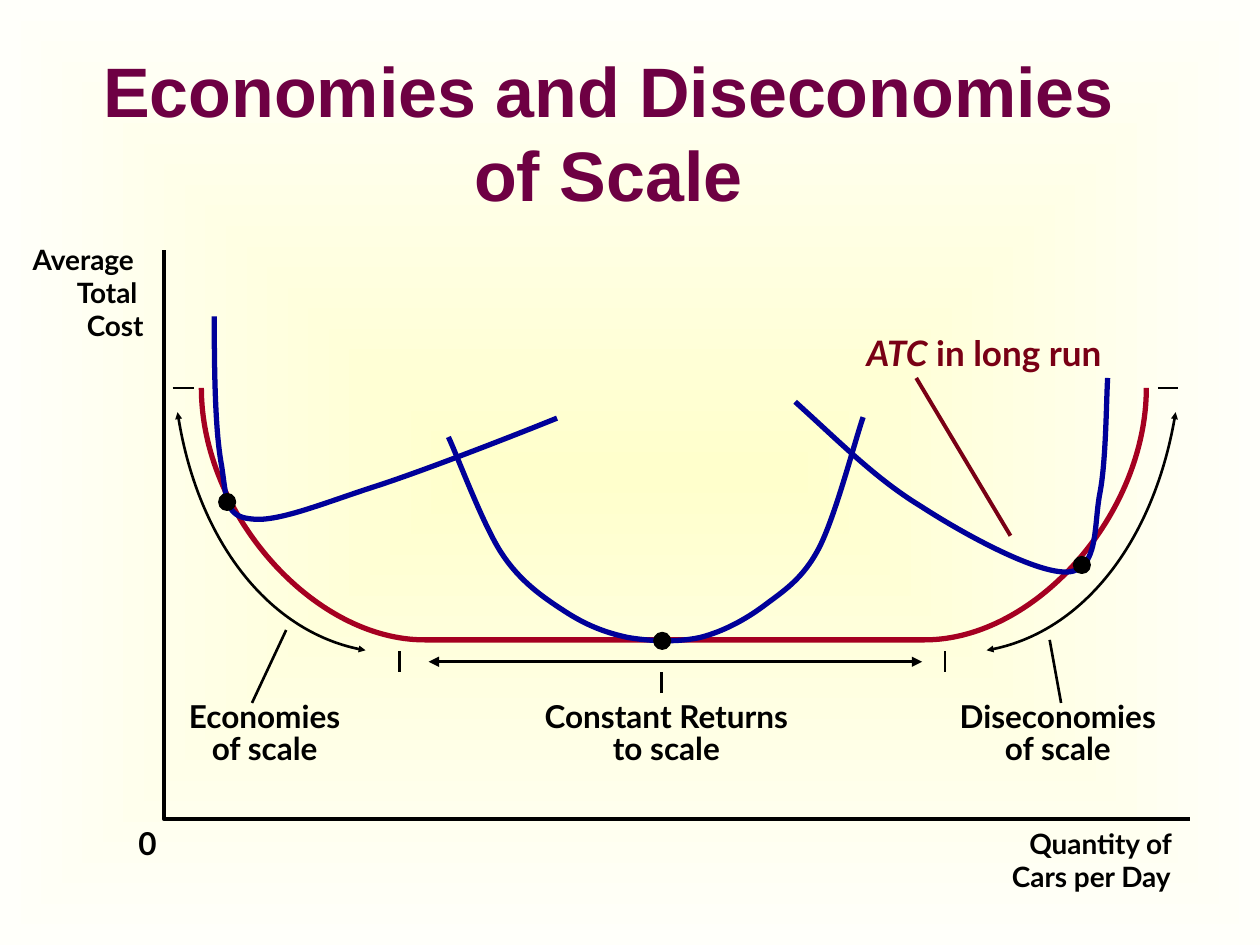
from pptx import Presentation
from pptx.dml.color import RGBColor
from pptx.enum.shapes import MSO_CONNECTOR, MSO_SHAPE
from pptx.enum.text import MSO_ANCHOR, MSO_AUTO_SIZE, PP_ALIGN
from pptx.oxml.ns import qn
from pptx.oxml.xmlchemy import OxmlElement
from pptx.util import Cm, Pt

STRAIGHT = MSO_CONNECTOR.STRAIGHT
OVAL = MSO_SHAPE.OVAL
TOP, MIDDLE = MSO_ANCHOR.TOP, MSO_ANCHOR.MIDDLE
LEFT, CENTER = PP_ALIGN.LEFT, PP_ALIGN.CENTER
GROW, FIXED = MSO_AUTO_SIZE.SHAPE_TO_FIT_TEXT, MSO_AUTO_SIZE.NONE

BLACK = RGBColor(0x00, 0x00, 0x00)
PLUM = RGBColor(0x6E, 0x00, 0x43)
MAROON = RGBColor(0x79, 0x00, 0x15)
RED = RGBColor(0xA5, 0x00, 0x21)
BLUE = RGBColor(0x00, 0x00, 0x99)
YELLOW = RGBColor(0xFF, 0xFF, 0xCC)
IVORY = RGBColor(0xFF, 0xFF, 0xFA)

LONG_RUN = [
    (4.06, 7.82), (4.06, 10.36), (6.32, 12.9), (8.56, 12.9),
    (11.92, 12.9), (15.28, 12.9), (18.64, 12.9),
    (20.88, 12.9), (23.11, 10.36), (23.11, 7.82),
]
SHORT_RUN_SMALL = [
    (4.32, 6.38), (4.32, 7.57), (4.34, 8.71), (4.47, 9.4),
    (4.57, 10.08), (4.55, 10.41), (5.05, 10.46),
    (5.56, 10.54), (6.48, 10.16), (7.49, 9.83),
    (8.53, 9.5), (10.54, 8.71), (11.23, 8.43),
]
SHORT_RUN_MEDIUM = [
    (9.04, 8.81), (9.22, 9.19), (9.73, 10.57), (10.11, 11.15),
    (10.49, 11.73), (10.95, 12.04), (11.38, 12.32),
    (11.81, 12.6), (12.19, 12.75), (12.65, 12.85),
    (13.11, 12.93), (13.67, 12.95), (14.12, 12.85),
    (14.58, 12.73), (15.01, 12.5), (15.39, 12.22),
    (15.8, 11.91), (16.18, 11.68), (16.51, 11.05),
    (16.84, 10.41), (17.22, 8.94), (17.4, 8.41),
]
SHORT_RUN_LARGE = [
    (16.03, 8.1), (16.94, 8.92), (17.65, 9.65), (18.57, 10.21),
    (19.48, 10.8), (20.93, 11.58), (21.54, 11.53),
    (22.15, 11.48), (22.05, 10.59), (22.17, 9.96),
    (22.3, 9.3), (22.3, 8.1), (22.33, 7.62),
]
ECONOMIES_SPAN = [(7.37, 13.11), (5.49, 12.8), (3.96, 10.87), (3.58, 8.31)]
DISECONOMIES_SPAN = [(19.89, 13.11), (21.77, 12.8), (23.29, 10.87), (23.7, 8.31)]


def add_background(s):
    fill = s.background.fill
    fill.gradient()
    for stop, color in zip(fill.gradient_stops, (YELLOW, IVORY)):
        stop.color.rgb = color
    grad = s.element.find(".//" + qn("a:gradFill"))
    path = OxmlElement("a:path")
    path.set("path", "rect")
    center = OxmlElement("a:fillToRect")
    for side in "ltrb":
        center.set(side, "50000")
    path.append(center)
    grad.replace(grad.find(qn("a:lin")), path)


def add_text(s, text, x, y, w, h, *, size=16, font="Lato", color=BLACK, align=LEFT,
             anchor=TOP, margins=(0, 0), wrap=False, grow=True, spacing=None, italic=""):
    tf = s.shapes.add_textbox(Cm(x), Cm(y), Cm(w), Cm(h)).text_frame
    tf.word_wrap = wrap
    tf.auto_size = GROW if grow else FIXED
    tf.vertical_anchor = anchor
    tf.margin_left = tf.margin_right = Cm(margins[0])
    tf.margin_top = tf.margin_bottom = Cm(margins[1])
    for i, line in enumerate(text.split("\n")):
        p = tf.add_paragraph() if i else tf.paragraphs[0]
        p.alignment = align
        p.line_spacing = spacing
        for part, slanted in ((italic, True), (line, False)):
            if part:
                r = p.add_run()
                r.text = part
                r.font.name = font
                r.font.size = Pt(size)
                r.font.bold = True
                r.font.italic = slanted
                r.font.color.rgb = color


def set_line(sp, color, width, heads=None):
    sp.line.color.rgb = color
    sp.line.width = Pt(width)
    if heads:
        for tag in ("a:headEnd", "a:tailEnd"):
            end = OxmlElement(tag)
            end.set("type", "triangle")
            end.set("w", heads)
            end.set("len", heads)
            sp.line._get_or_add_ln().append(end)


def add_line(s, x1, y1, x2, y2, *, color=BLACK, width=1.5, heads=None):
    sp = s.shapes.add_connector(STRAIGHT, Cm(x1), Cm(y1), Cm(x2), Cm(y2))
    set_line(sp, color, width, heads)
    sp._element.spPr.append(OxmlElement("a:effectLst"))


def add_path(s, points, *, color=BLACK, width=1.5, heads=None, curved=True):
    pts = [(Cm(x), Cm(y)) for x, y in points]
    builder = s.shapes.build_freeform(*pts[0])
    builder.add_line_segments(pts[1:], close=False)
    sp = builder.convert_to_shape()
    sp.shadow.inherit = False
    sp.fill.background()
    set_line(sp, color, width, heads)
    if curved:
        path = sp._element.find(".//" + qn("a:path"))
        steps = path.findall(qn("a:lnTo"))
        for i in range(0, len(steps), 3):
            bezier = OxmlElement("a:cubicBezTo")
            for step in steps[i:i + 3]:
                bezier.append(step[0])
                path.remove(step)
            path.append(bezier)


def add_dot(s, x, y, size=0.33):
    sp = s.shapes.add_shape(OVAL, Cm(x - size / 2), Cm(y - size / 2), Cm(size), Cm(size))
    sp.shadow.inherit = False
    sp.fill.solid()
    sp.fill.fore_color.rgb = BLACK
    set_line(sp, BLACK, 1)


def main():
    prs = Presentation()
    prs.slide_width, prs.slide_height = Cm(25.4), Cm(19.05)
    s = prs.slides.add_slide(prs.slide_layouts[6])
    add_background(s)
    add_text(s, "Economies and Diseconomies of Scale", 1.47, 1.07, 21.59, 3.18,
             size=40, font="Arial", color=PLUM, align=CENTER, anchor=MIDDLE,
             margins=(0.25, 0.13), wrap=True, grow=False)

    for text, x, y, w in (
        ("Average", 0.66, 4.9, 2.34), ("Total", 1.55, 5.56, 1.42), ("Cost", 1.75, 6.22, 1.24),
        ("Quantity of", 20.75, 16.66, 3.23), ("Cars per Day", 20.4, 17.32, 3.56),
    ):
        add_text(s, text, x, y, w, 0.69)
    add_text(s, "0", 2.79, 16.61, 0.36, 0.76, size=18)
    add_path(s, [(3.3, 5.05), (3.3, 16.51), (23.98, 16.51)], width=2.25, curved=False)

    add_text(s, " in long run", 16.13, 6.55, 7.42, 1.12, size=20, color=MAROON,
             align=CENTER, margins=(0.25, 0.13), wrap=True, italic="ATC")
    add_line(s, 18.47, 7.62, 20.37, 10.8, color=MAROON, width=2.25)

    add_path(s, LONG_RUN, color=RED, width=3)
    for curve, tangency in (
        (SHORT_RUN_MEDIUM, (13.35, 12.92)),
        (SHORT_RUN_LARGE, (21.81, 11.39)),
        (SHORT_RUN_SMALL, (4.58, 10.12)),
    ):
        add_path(s, curve, color=BLUE, width=3)
        add_dot(s, *tangency)

    for span in (ECONOMIES_SPAN, DISECONOMIES_SPAN):
        add_path(s, span, heads="sm")
    add_line(s, 8.64, 13.34, 18.59, 13.34, heads="med")
    for x1, x2 in ((3.48, 3.91), (23.34, 23.75)):
        add_line(s, x1, 7.82, x2, 7.82)
    for x in (8.05, 19.05):
        add_line(s, x, 13.13, x, 13.54)

    for text, x, w, leader in (
        ("Economies\nof scale", 3.43, 3.81, (5.08, 14.17, 5.77, 12.7)),
        ("Constant Returns\nto scale", 10.16, 6.55, (13.34, 13.97, 13.34, 13.54)),
        ("Diseconomies\nof scale", 19.1, 4.45, (21.39, 14.17, 21.16, 12.9)),
    ):
        add_text(s, text, x, 14.17, w, 1.3, size=18, align=CENTER, wrap=True, spacing=0.85)
        add_line(s, *leader)

    prs.save("out.pptx")


if __name__ == "__main__":
    main()
